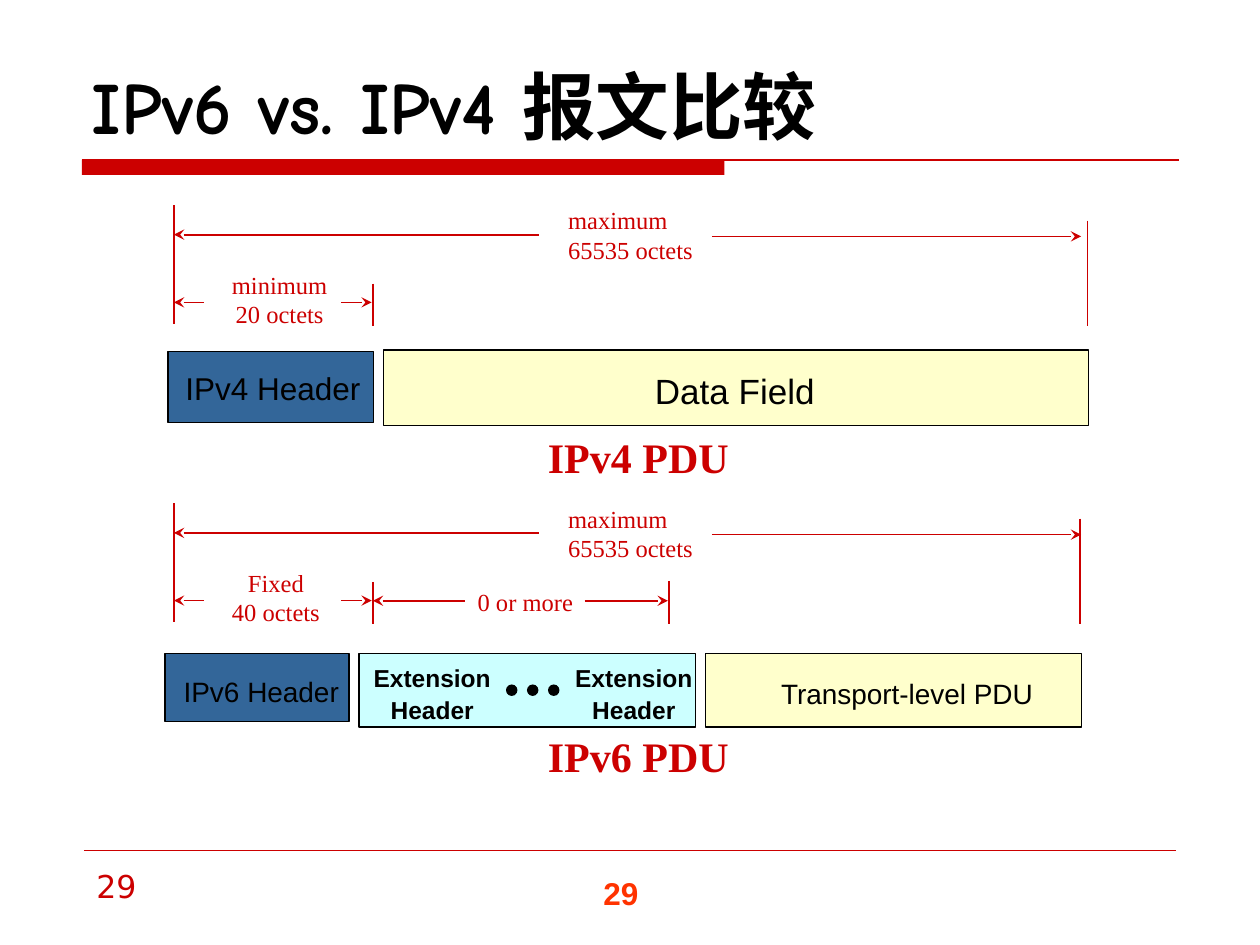
from dataclasses import dataclass

from lxml.etree import SubElement
from pptx import Presentation
from pptx.dml.color import RGBColor
from pptx.enum.shapes import MSO_CONNECTOR, MSO_SHAPE
from pptx.enum.text import MSO_ANCHOR, PP_ALIGN
from pptx.oxml.ns import qn
from pptx.util import Pt


@dataclass(frozen=True)
class Theme:
    """Colours, fonts and type sizes of the slide."""

    red: str = "CC0000"
    orange: str = "FF3300"
    black: str = "000000"
    blue: str = "336699"
    cream: str = "FFFFCC"
    cyan: str = "CCFFFF"
    title_font: str = "Comic Neue"
    serif: str = "Times New Roman"
    sans: str = "Arial"
    number_font: str = "DejaVu Sans"
    title_size: int = 42
    caption_size: int = 24
    field_size: int = 20
    header_size: int = 18
    body_size: int = 16
    label_size: int = 14


THEME = Theme()


def add_text(page, bounds, lines, font, size, color, bold=False, wrap=False,
             align=PP_ALIGN.LEFT, anchor=MSO_ANCHOR.TOP, spacing=1.0):
    """Add a text box with one paragraph for each line."""
    box = page.shapes.add_textbox(*map(Pt, bounds))
    frame = box.text_frame
    frame.word_wrap = wrap
    frame.vertical_anchor = anchor
    for index, line in enumerate(lines):
        para = frame.add_paragraph() if index else frame.paragraphs[0]
        para.alignment = align
        para.line_spacing = spacing
        span = para.add_run()
        span.text = line
        span.font.name = font
        span.font.size = Pt(size)
        span.font.bold = bold
        span.font.color.rgb = RGBColor.from_string(color)


def add_label(page, bounds, lines, align=PP_ALIGN.CENTER):
    """Add a red measurement label."""
    add_text(page, bounds, lines, THEME.serif, THEME.label_size, THEME.red, align=align)


def add_block(page, bounds, fill, kind=MSO_SHAPE.RECTANGLE, outlined=True):
    """Add a filled shape, with a thin black outline if wanted."""
    block = page.shapes.add_shape(kind, *map(Pt, bounds))
    block.shadow.inherit = False
    block.fill.solid()
    block.fill.fore_color.rgb = RGBColor.from_string(fill)
    if outlined:
        block.line.color.rgb = RGBColor.from_string(THEME.black)
        block.line.width = Pt(0.75)
    else:
        block.line.fill.background()


def add_line(page, start, end, width=1, arrow=None):
    """Add a red line, with a stealth arrow at headEnd or tailEnd."""
    line = page.shapes.add_connector(MSO_CONNECTOR.STRAIGHT, *map(Pt, start + end))
    line.line.color.rgb = RGBColor.from_string(THEME.red)
    line.line.width = Pt(width)
    properties = line._element.spPr
    if arrow:
        SubElement(properties.find(qn("a:ln")), qn(f"a:{arrow}"), type="stealth")
    SubElement(properties, qn("a:effectLst"))


def add_tick(page, x, top, bottom):
    """Add an upright boundary line."""
    add_line(page, (x, top), (x, bottom))


def add_arrow(page, left, right, y, arrow):
    """Add a level dimension arrow."""
    add_line(page, (left, y), (right, y), arrow=arrow)


def add_dimensions(page, top, right, header_label, label_width, caption):
    """Add the size markings and caption shared by both packet diagrams."""
    left, header_right = 99.4, 213.1
    add_tick(page, left, top, top + 67.8)
    add_tick(page, header_right, top + 44.8, top + 69)
    add_tick(page, right, top + 8.7, top + 69)
    add_arrow(page, left, 116.6, top + 55.5, "headEnd")
    add_arrow(page, 195.1, 212.4, top + 55.5, "tailEnd")
    add_arrow(page, left, 308.2, top + 16.8, "headEnd")
    add_arrow(page, 406.8, 617.8, top + 17.8, "tailEnd")
    add_label(page, (125.3, top + 33.2, label_width, 41), header_label)
    add_label(page, (317.5, top - 3.4, 85.7, 41), ["maximum", "65535 octets"], PP_ALIGN.LEFT)
    add_text(page, (306, top + 126, 118, 36), [caption], THEME.serif,
             THEME.caption_size, THEME.red, bold=True)


def add_frame(page):
    """Add the title, its rule, the footer line and the page numbers."""
    add_block(page, (46.8, 91.4, 367.2, 8.6), THEME.red, outlined=False)
    add_line(page, (46.8, 91.4), (673.6, 91.4), width=0.75)
    add_line(page, (48, 486), (672, 486), width=0.25)
    add_text(page, (337.7, 496.1, 54, 28.8), ["29"], THEME.sans,
             THEME.header_size, THEME.orange, bold=True, wrap=True)
    add_text(page, (48, 491.8, 156.2, 37.4), ["29"], THEME.number_font,
             THEME.header_size, THEME.red, wrap=True)
    add_text(page, (45.4, 23.8, 630, 64.8), ["IPv6 vs. IPv4 报文比较"], THEME.title_font,
             THEME.title_size, THEME.black, bold=True, wrap=True, anchor=MSO_ANCHOR.BOTTOM)


def add_ipv4_packet(page):
    """Add the IPv4 packet diagram."""
    add_dimensions(page, 117.3, 621.5, ["minimum", "20 octets"], 69.1, "IPv4 PDU")
    add_block(page, (96, 200.8, 117.4, 40.7), THEME.blue)
    add_text(page, (98.9, 207.4, 114.5, 28.8), ["IPv4 Header"], THEME.sans,
             THEME.header_size, THEME.black)
    add_block(page, (219.1, 200, 403, 43.2), THEME.cream)
    add_text(page, (367.2, 207.4, 105.8, 31), ["Data Field"], THEME.sans,
             THEME.field_size, THEME.black)


def add_ipv6_packet(page):
    """Add the IPv6 packet diagram."""
    add_dimensions(page, 287.7, 617, ["Fixed", "40 octets"], 64.8, "IPv6 PDU")
    add_tick(page, 382.3, 332, 356.4)
    add_arrow(page, 213.1, 265.7, 343.3, "headEnd")
    add_arrow(page, 334.1, 381.6, 343.3, "tailEnd")
    add_label(page, (265.7, 332, 69.1, 23.8), ["0 or more"])

    top = 373.6
    add_block(page, (94.4, top, 105.1, 38.8), THEME.blue)
    add_block(page, (205.2, top, 192.2, 41.8), THEME.cyan)
    add_block(page, (403.3, top, 214.6, 41.8), THEME.cream)
    for bounds, name in [((439.2, top, 159.1, 36), "Transport-level PDU"),
                         ((97.9, 372.3, 103, 36), "IPv6 Header")]:
        add_text(page, bounds, [name], THEME.sans, THEME.body_size, THEME.black, spacing=1.5)
    for left in (204.5, 319.7):
        add_text(page, (left, top, 85, 43.9), ["Extension", "Header"], THEME.sans,
                 THEME.label_size, THEME.black, bold=True, wrap=True,
                 align=PP_ALIGN.CENTER, spacing=1.1)
    for index in range(3):
        add_block(page, (289.5 + 12 * index, 391.5, 5.8, 5.8), THEME.black, MSO_SHAPE.OVAL)


def main():
    """Build the slide and save the deck."""
    deck = Presentation()
    deck.slide_width, deck.slide_height = Pt(720), Pt(540)
    page = deck.slides.add_slide(deck.slide_layouts[6])
    add_frame(page)
    add_ipv4_packet(page)
    add_ipv6_packet(page)
    deck.save("out.pptx")


if __name__ == "__main__":
    main()
